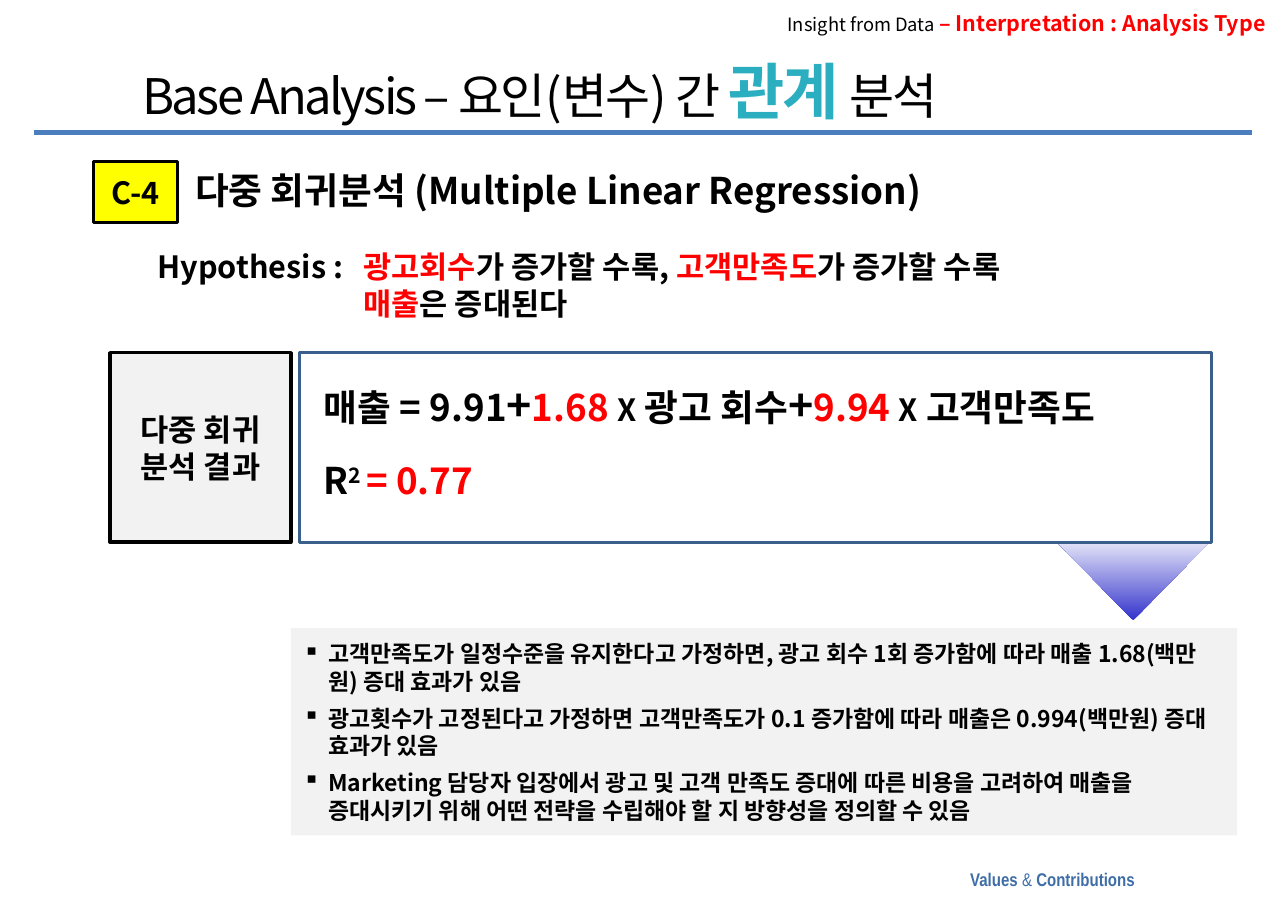
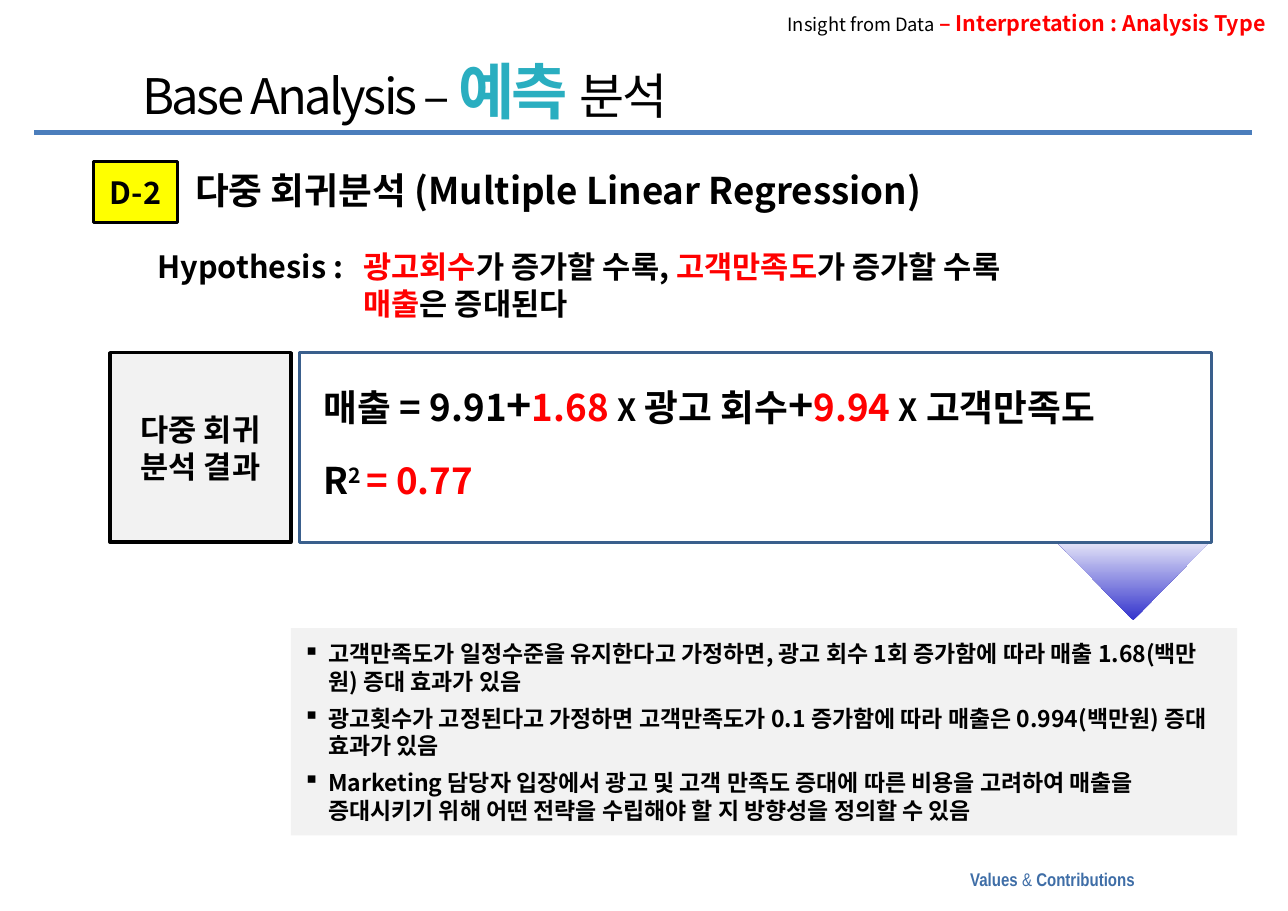
from dataclasses import dataclass
from typing import NamedTuple, Optional

from lxml import etree
from pptx import Presentation
from pptx.dml.color import RGBColor
from pptx.enum.shapes import MSO_CONNECTOR, MSO_SHAPE
from pptx.enum.text import MSO_ANCHOR, PP_ALIGN
from pptx.oxml.ns import qn
from pptx.util import Cm, Pt

# Colours
BLACK = RGBColor(0x00, 0x00, 0x00)
RED = RGBColor(0xFF, 0x00, 0x00)
YELLOW = RGBColor(0xFF, 0xFF, 0x00)
GRAY = RGBColor(0xF2, 0xF2, 0xF2)
TEAL = RGBColor(0x2A, 0xAE, 0xC0)
RULE = RGBColor(0x4B, 0x7E, 0xBC)
STEEL = RGBColor(0x3A, 0x5F, 0x8C)
FOOT = RGBColor(0x3F, 0x6E, 0xA7)
DEEP = RGBColor(0x33, 0x33, 0xCC)
PALE = RGBColor(0xE3, 0xE3, 0xF8)

# Enum members and fonts
RECT = MSO_SHAPE.RECTANGLE
ARROW = MSO_SHAPE.ISOSCELES_TRIANGLE
STRAIGHT = MSO_CONNECTOR.STRAIGHT
TOP, MIDDLE = MSO_ANCHOR.TOP, MSO_ANCHOR.MIDDLE
LEFT, CENTER, RIGHT = PP_ALIGN.LEFT, PP_ALIGN.CENTER, PP_ALIGN.RIGHT
SANS, NARROW = "Noto Sans CJK KR", "Arial Narrow"


class Area(NamedTuple):
    """Left, top, width and height in centimetres."""
    x: float
    y: float
    w: float
    h: float


@dataclass(frozen=True)
class Part:
    """A run of text with what differs from its paragraph."""
    text: str
    size: Optional[float] = None
    color: Optional[RGBColor] = None
    bold: Optional[bool] = None
    raised: bool = False


@dataclass(frozen=True)
class Style:
    """What all paragraphs of one box share."""
    size: float
    color: RGBColor = BLACK
    bold: bool = True
    font: str = SANS
    align: PP_ALIGN = LEFT
    anchor: MSO_ANCHOR = TOP
    gap: float = 0
    hang: float = 0
    bullet: str = ""
    track: int = 0
    side: float = 0.28


@dataclass(frozen=True)
class Page:
    """What differs from slide to slide."""
    lead: str
    key: str
    code: str


Lines = list[list[Part]]

TITLE = Style(32, bold=False, anchor=MIDDLE, track=-170)
HEAD = Style(12, bold=False, align=RIGHT, side=0.25)
FOOTER = Style(12, FOOT, font=NARROW, align=RIGHT, side=0.25)
TOPIC = Style(24)
LABEL = Style(20, align=CENTER, anchor=MIDDLE)
CLAIM = Style(20, hang=4.75)
MODEL = Style(24, gap=18)
NOTES = Style(15, anchor=MIDDLE, gap=6, hang=0.58, bullet="▪")

# Text
HYPOTHESIS = [[
    Part("Hypothesis :\t"), Part("광고회수", color=RED),
    Part("가 증가할 수록, "), Part("고객만족도", color=RED),
    Part("가 증가할 수록"), Part("\n"),
    Part("매출", color=RED), Part("은 증대된다"),
]]
FORMULA = [
    [Part("매출 = 9.91"), Part("+", 28), Part("1.68 ", color=RED),
     Part("X", 20), Part(" 광고 회수"), Part("+", 28),
     Part("9.94 ", color=RED), Part("X", 20), Part(" 고객만족도")],
    [Part("R"), Part("2 ", raised=True), Part("= 0.77", color=RED)],
]
FINDINGS = [[Part(text)] for text in (
    "고객만족도가 일정수준을 유지한다고 가정하면, 광고 회수 1회 증가함에 따라 "
    "매출 1.68(백만원) 증대 효과가 있음",
    "광고횟수가 고정된다고 가정하면 고객만족도가 0.1 증가함에 따라 "
    "매출은 0.994(백만원) 증대 효과가 있음",
    "Marketing 담당자 입장에서 광고 및 고객 만족도 증대에 따른 비용을 고려하여 "
    "매출을 증대시키기 위해 어떤 전략을 수립해야 할 지 방향성을 정의할 수 있음",
)]
PAGES = [
    Page("Base Analysis – 요인(변수) 간 ", "관계 ", "C-4"),
    Page("Base Analysis – ", "예측 ", "D-2"),
]


def place(area: Area) -> list[Cm]:
    return [Cm(value) for value in area]


def format_line(para, style: Style, first: bool) -> None:
    """Set alignment, indents, bullet and font of a paragraph."""
    para.alignment = style.align
    if not first:
        para.space_before = Pt(style.gap)
    props = para._p.get_or_add_pPr()
    if style.hang:
        props.set("marL", str(Cm(style.hang)))
        props.set("indent", str(-Cm(style.hang)))
    if style.bullet:
        etree.SubElement(props, qn("a:buChar"), char=style.bullet)
    font = para.font
    font.size, font.bold, font.name = Pt(style.size), style.bold, style.font
    font.color.rgb = style.color
    base = props.find(qn("a:defRPr"))
    latin = base.find(qn("a:latin"))
    latin.addnext(etree.Element(qn("a:ea"), typeface=style.font))
    if style.track:
        base.set("spc", str(style.track))


def add_part(para, part: Part) -> None:
    if part.text == "\n":
        para.add_line_break()
        return
    run = para.add_run()
    run.text = part.text
    if part.size:
        run.font.size = Pt(part.size)
    if part.color is not None:
        run.font.color.rgb = part.color
    if part.bold is not None:
        run.font.bold = part.bold
    if part.raised:
        run._r.get_or_add_rPr().set("baseline", "30000")


def write(shape, lines: Lines, style: Style) -> None:
    frame = shape.text_frame
    frame.word_wrap = True
    frame.vertical_anchor = style.anchor
    frame.margin_left = frame.margin_right = Cm(style.side)
    frame.margin_top = frame.margin_bottom = Cm(0.13)
    for index, parts in enumerate(lines):
        para = frame.add_paragraph() if index else frame.paragraphs[0]
        format_line(para, style, index == 0)
        for part in parts:
            add_part(para, part)


def add_text(slide, area: Area, lines: Lines, style: Style) -> None:
    write(slide.shapes.add_textbox(*place(area)), lines, style)


def add_panel(slide, area: Area, fill: Optional[RGBColor] = None,
              line: Optional[RGBColor] = None, width: float = 2.25,
              kind: MSO_SHAPE = RECT):
    """Draw a flat shape, with fill and outline only where given."""
    shape = slide.shapes.add_shape(kind, *place(area))
    shape.shadow.inherit = False
    if fill is None:
        shape.fill.background()
    else:
        shape.fill.solid()
        shape.fill.fore_color.rgb = fill
    if line is None:
        shape.line.fill.background()
    else:
        shape.line.color.rgb = line
        shape.line.width = Pt(width)
    return shape


def add_arrow(slide, area: Area) -> None:
    """Draw the triangle that points down, fading upwards."""
    shape = add_panel(slide, area, kind=ARROW)
    shape.rotation = 180
    shape.fill.gradient()
    shape.fill.gradient_angle = 270
    for stop, color, spot in zip(shape.fill.gradient_stops, (DEEP, PALE), (0, 1)):
        stop.color.rgb = color
        stop.position = spot


def add_frame(slide, page: Page) -> None:
    """Draw rule, footer, header and title."""
    rule = slide.shapes.add_connector(
        STRAIGHT, Cm(0.79), Cm(3.05), Cm(28.86), Cm(3.05))
    rule.line.color.rgb = RULE
    rule.line.width = Pt(3)
    etree.SubElement(rule._element.spPr, qn("a:effectLst"))
    add_text(slide, Area(20.12, 19.89, 6.3, 0.76),
             [[Part("Values "), Part("& ", bold=False), Part("Contributions")]],
             FOOTER)
    add_text(slide, Area(16.61, 0.1, 12.83, 0.86),
             [[Part("Insight from Data "),
               Part("– Interpretation : Analysis Type", 14, RED, True)]], HEAD)
    add_text(slide, Area(3, 1.27, 25.86, 1.6),
             [[Part(page.lead), Part(page.key, 40, TEAL, True), Part("분석")]],
             TITLE)


def add_body(slide, page: Page) -> None:
    # Topic and hypothesis
    badge = add_panel(slide, Area(2.16, 3.73, 1.93, 1.4), YELLOW, BLACK)
    write(badge, [[Part(page.code)]], LABEL)
    add_text(slide, Area(4.22, 3.73, 19.69, 1.3),
             [[Part("다중 회귀분석 (Multiple Linear Regression)")]], TOPIC)
    add_text(slide, Area(3.35, 5.59, 24.41, 1.98), HYPOTHESIS, CLAIM)

    # Result
    add_arrow(slide, Area(24.38, 12.5, 3.5, 1.8))
    label = add_panel(slide, Area(2.54, 8.13, 4.17, 4.37), GRAY, BLACK)
    write(label, [[Part("다중 회귀 분석 결과")]], LABEL)
    add_panel(slide, Area(6.91, 8.13, 21.03, 4.37), line=STEEL, width=2)
    add_text(slide, Area(7.19, 8.61, 21.82, 3.15), FORMULA, MODEL)

    # Findings
    notes = add_panel(slide, Area(6.71, 14.48, 21.82, 4.78), GRAY)
    write(notes, FINDINGS, NOTES)


def main() -> None:
    deck = Presentation()
    deck.slide_width, deck.slide_height = Cm(29.7), Cm(21)
    blank = deck.slide_layouts[6]
    for page in PAGES:
        slide = deck.slides.add_slide(blank)
        add_frame(slide, page)
        add_body(slide, page)
    deck.save("out.pptx")


if __name__ == "__main__":
    main()
